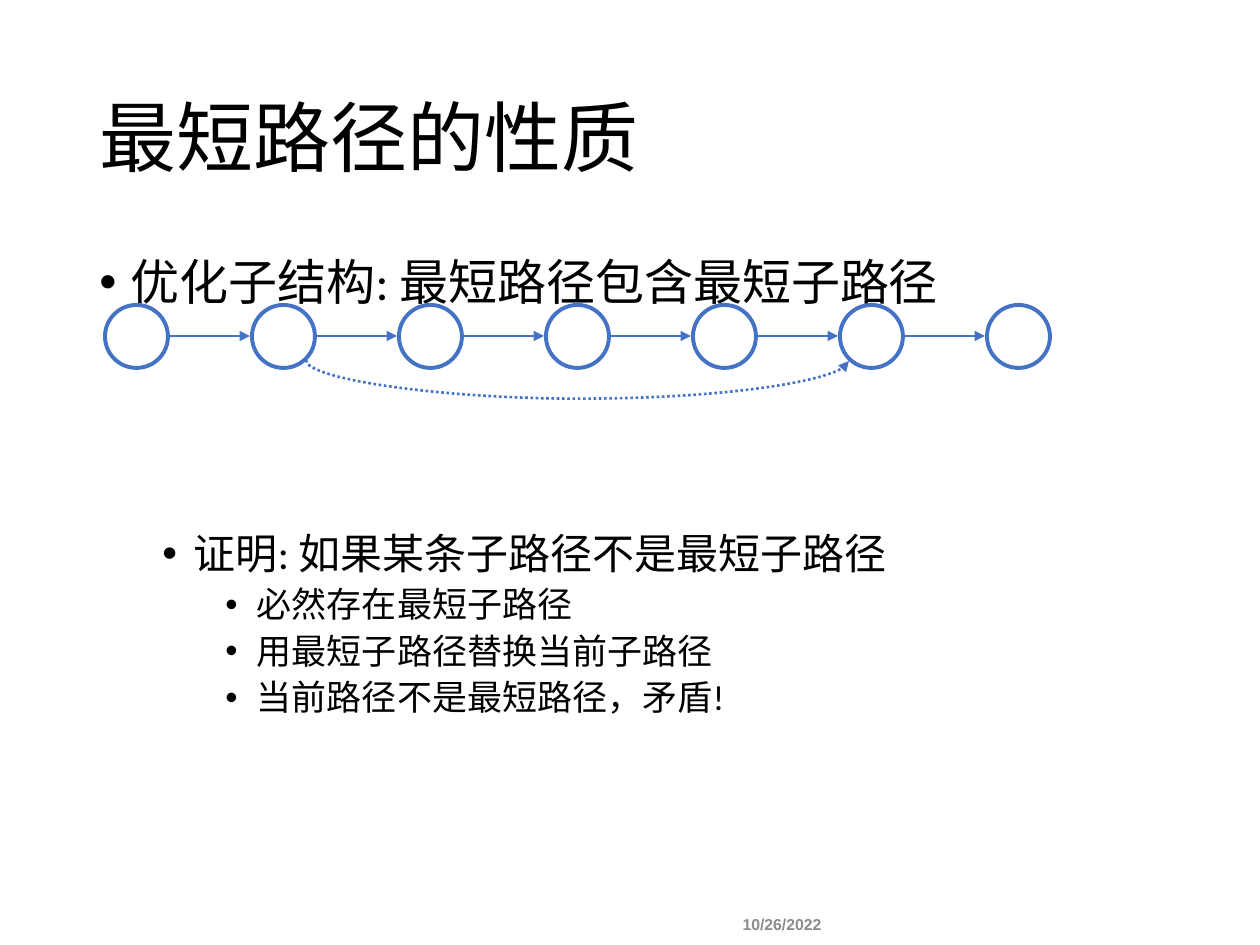
import pptx
import pptx.util
import pptx.dml.color
import pptx.enum.dml
import pptx.enum.lang
import pptx.enum.shapes
import pptx.enum.text
import pptx.oxml
import pptx.oxml.ns

PX = 914400 / 126
BLACK, BLUE, WHITE, GREY = "000000", "4472C4", "FFFFFF", "8C8C8C"

# Chain of nodes
NODE_COUNT, NODE_LEFT, NODE_TOP, NODE_SIZE, NODE_PITCH = 7, 105, 305, 63, 147

# Text, level, size, space before (the first sub-point leaves room for the chain)
POINTS = [
    ("优化子结构: 最短路径包含最短子路径", 0, 28, 10),
    ("证明: 如果某条子路径不是最短子路径", 1, 24, 127),
    ("必然存在最短子路径", 2, 20, 5),
    ("用最短子路径替换当前子路径", 2, 20, 5),
    ("当前路径不是最短路径，矛盾!", 2, 20, 5),
]


def px(length):
    return pptx.util.Emu(round(length * PX))


def color(value):
    return pptx.dml.color.RGBColor.from_string(value)


def add_xml(parent, tag, **attributes):
    child = pptx.oxml.parse_xml(f"<a:{tag} {pptx.oxml.ns.nsdecls('a')}/>")
    for name, value in attributes.items():
        child.set(name, str(value))
    parent.append(child)
    return child


def place(shape, left, top, width, height):
    shape.left, shape.top = px(left), px(top)
    shape.width, shape.height = px(width), px(height)


def format_para(para, size, font="Calibri", fill=BLACK, bold=False):
    for span in para.runs:
        span.font.size = pptx.util.Pt(size)
        span.font.name = font
        span.font.bold = bold
        span.font.color.rgb = color(fill)
        span.font.language_id = pptx.enum.lang.MSO_LANGUAGE_ID.SIMPLIFIED_CHINESE


def set_title(page, text):
    title = page.shapes.title
    place(title, 87, 50, 1086, 183)
    frame = title.text_frame
    frame.text = text
    frame.auto_size = pptx.enum.text.MSO_AUTO_SIZE.NONE
    frame.vertical_anchor = pptx.enum.text.MSO_ANCHOR.MIDDLE
    para = frame.paragraphs[0]
    para.alignment = pptx.enum.text.PP_ALIGN.LEFT
    para.line_spacing = 0.9
    format_para(para, 44)


def add_points(page, points):
    box = page.shapes.add_textbox(px(87), px(252), px(1086), px(600))
    frame = box.text_frame
    frame.word_wrap = True
    for index, (text, level, size, space) in enumerate(points):
        para = frame.add_paragraph() if index else frame.paragraphs[0]
        para.text = text
        para.level = level
        para.line_spacing = 0.9
        para.space_before = pptx.util.Pt(space)
        format_para(para, size)
        properties = para._p.get_or_add_pPr()
        properties.set("marL", str(pptx.util.Inches(0.25 + 0.5 * level)))
        properties.set("indent", str(pptx.util.Inches(-0.25)))
        add_xml(properties, "buFont", typeface="Arial")
        add_xml(properties, "buChar", char="•")


def add_date(page, text):
    box = page.shapes.add_textbox(px(682), px(903), px(200), px(42))
    frame = box.text_frame
    frame.word_wrap = True
    frame.vertical_anchor = pptx.enum.text.MSO_ANCHOR.MIDDLE
    para = frame.paragraphs[0]
    para.text = text
    para.alignment = pptx.enum.text.PP_ALIGN.CENTER
    format_para(para, 9, "Arial", GREY, True)


def add_node(page, left):
    node = page.shapes.add_shape(pptx.enum.shapes.MSO_SHAPE.OVAL,
                                 px(left), px(NODE_TOP), px(NODE_SIZE), px(NODE_SIZE))
    node.shadow.inherit = False
    node.fill.solid()
    node.fill.fore_color.rgb = color(WHITE)
    node.line.color.rgb = color(BLUE)
    node.line.width = pptx.util.Pt(2.25)


def add_arrow(page, kind, x1, y1, x2, y2, dash=None):
    arrow = page.shapes.add_connector(kind, px(x1), px(y1), px(x2), px(y2))
    arrow.line.color.rgb = color(BLUE)
    arrow.line.width = pptx.util.Pt(1.5)
    if dash:
        arrow.line.dash_style = dash
    add_xml(arrow.line._get_or_add_ln(), "tailEnd", type="triangle")
    add_xml(arrow._element.spPr, "effectLst")
    return arrow


def add_arc(page, x1, x2, y, depth):
    """Dotted arrow that hangs below y: a 1 px wide curve turned a quarter."""
    span = x2 - x1
    middle = (x1 + x2) // 2
    arc = add_arrow(page, pptx.enum.shapes.MSO_CONNECTOR.CURVE,
                    middle, y - span // 2, middle + 1, y - span // 2 + span,
                    pptx.enum.dml.MSO_LINE.ROUND_DOT)
    properties = arc._element.spPr
    properties.xfrm.set("rot", "16200000")
    properties.xfrm.set("flipH", "1")
    guides = properties.prstGeom.get_or_add_avLst()
    add_xml(guides, "gd", name="adj1", fmla=f"val {depth * 100000}")


def main():
    deck = pptx.Presentation()
    deck.slide_width, deck.slide_height = px(1260), px(945)
    page = deck.slides.add_slide(deck.slide_layouts[5])

    # Text
    set_title(page, "最短路径的性质")
    add_points(page, POINTS)
    add_date(page, "10/26/2022")

    # Path of nodes, with arrows between neighbours
    lefts = [NODE_LEFT + NODE_PITCH * index for index in range(NODE_COUNT)]
    for left in lefts:
        add_node(page, left)
    middle = NODE_TOP + NODE_SIZE // 2
    for left in lefts[:-1]:
        add_arrow(page, pptx.enum.shapes.MSO_CONNECTOR.STRAIGHT,
                  left + NODE_SIZE + 2, middle, left + NODE_PITCH - 2, middle)

    # Shorter sub-path from the second node to the sixth
    add_arc(page, lefts[1] + 54, lefts[5] + 9, 360, 39)

    deck.save("out.pptx")


if __name__ == "__main__":
    main()
